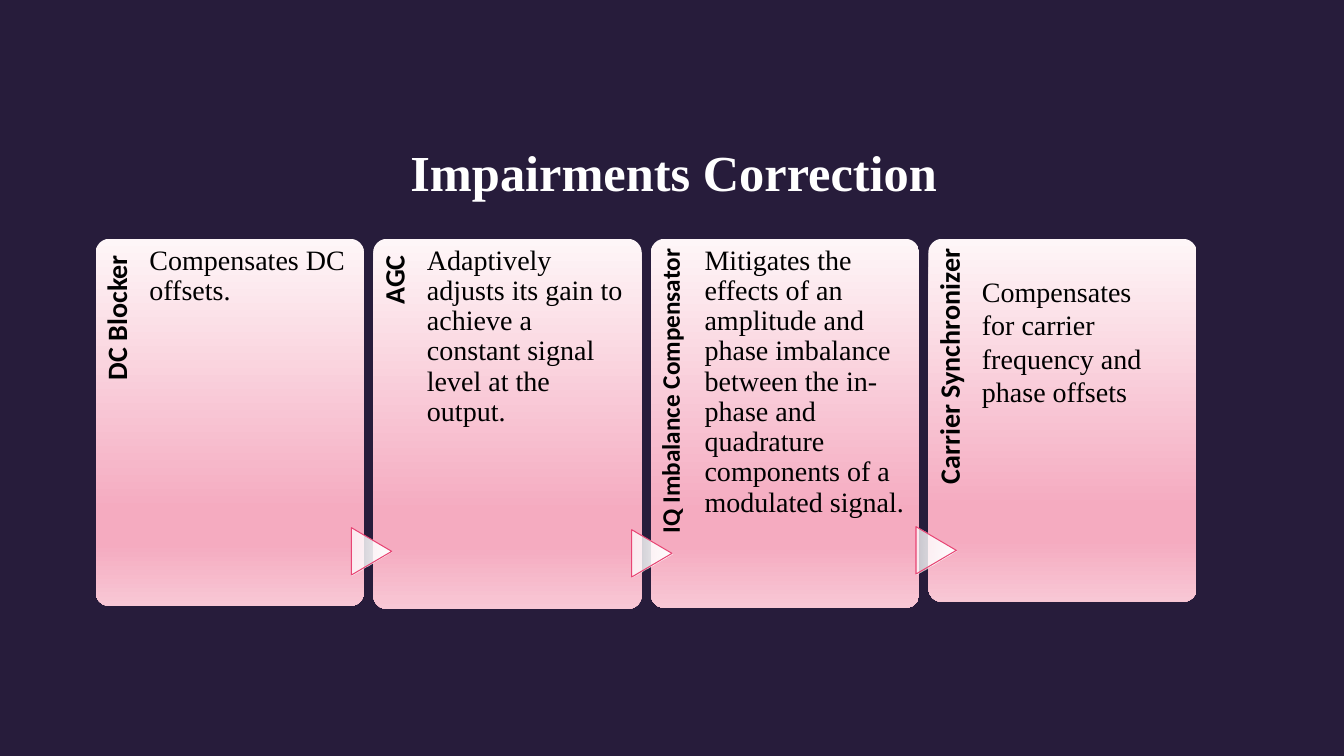
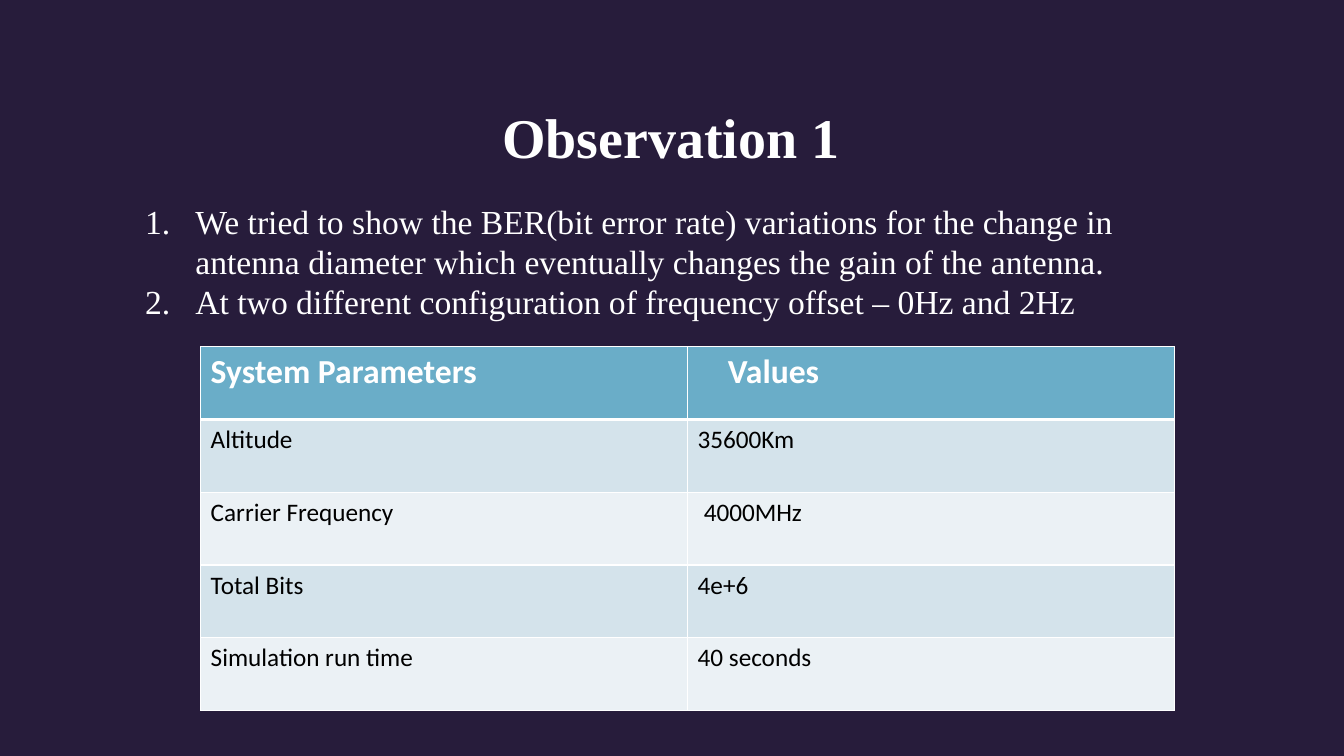
from pptx import Presentation
from pptx.dml.color import RGBColor
from pptx.enum.shapes import MSO_SHAPE as Shape
from pptx.enum.text import MSO_ANCHOR as Anchor, MSO_AUTO_SIZE as AutoSize, PP_ALIGN as Align
from pptx.oxml import parse_xml
from pptx.oxml.ns import nsdecls
from pptx.util import Inches, Pt

COLORS = {
    "background": "271C3B", "white": "FFFFFF", "black": "000000",
    "arrow_line": "E84574", "header": "6AADC8",
    "odd_row": "D4E3EB", "even_row": "EBF1F5",
}
SERIF, SANS = "Times New Roman", "Calibri"
WIDTH, HEIGHT = 13.33, 7.5
DEFAULT_INSETS = (0.1, 0.05, 0.1, 0.05)

# Gradient stops: position in percent, colour, opacity in percent
CARD_STOPS = [(0, "FEF6F8", 100), (74, "F5ABC0", 100), (83, "F5ABC0", 100), (100, "F8C7D5", 100)]
ARROW_STOPS = [(0, "FFFFFF", 100), (100, "FFFFFF", 74)]

CARDS = [
    {"label": "DC Blocker ", "size": 20, "height": 3.64, "body": "Compensates DC offsets."},
    {"label": "AGC ", "size": 20, "height": 3.67, "arrow": (3.45, 5.27),
     "body": "Adaptively adjusts its gain to achieve a constant signal level at the output."},
    {"label": "IQ Imbalance Compensator", "size": 18, "height": 3.66, "arrow": (6.23, 5.29),
     "body": "Mitigates the effects of an amplitude and phase imbalance between the in-phase "
             "and quadrature components of a modulated signal."},
    {"label": "Carrier Synchronizer", "size": 20, "height": 3.6, "arrow": (9.05, 5.26),
     "body": "Compensates for carrier frequency and phase offsets", "body_at": (9.64, 2.67, 2.01, 1.45)},
]
CARD_LEFT, CARD_TOP, CARD_WIDTH = 0.95, 2.37, 2.66
CARD_PITCH = CARD_WIDTH * 1.035
LABEL_WIDTH = CARD_WIDTH * 0.2
BODY_WIDTH = CARD_WIDTH * 0.745
ARROW_SIZE = (0.47, 0.4)

OBSERVATIONS = [
    "We tried to show the BER(bit error rate) variations for the change in antenna diameter "
    "which eventually changes the gain of the antenna.",
    "At two different configuration of frequency offset – 0Hz and 2Hz",
]
PARAMETERS = [
    ("System Parameters", "Values"),
    ("Altitude", "35600Km"),
    ("Carrier Frequency", "4000MHz"),
    ("Total Bits", "4e+6"),
    ("Simulation run time", "40 seconds"),
]
TABLE_AT = (1.99, 3.44, 9.66, 3.61)
EXTRA_INDENT = {(0, 1): 0.3, (2, 1): 0.06}


def rgb(name):
    return RGBColor.from_string(COLORS[name])


def inches(values):
    return [Inches(value) for value in values]


def write(frame, texts, size, color="black", font=SERIF, bold=False, insets=DEFAULT_INSETS, **para_format):
    frame.word_wrap = True
    frame.vertical_anchor = Anchor.TOP
    for side, inset in zip(("left", "top", "right", "bottom"), insets):
        setattr(frame, f"margin_{side}", Inches(inset))
    for index, text in enumerate(texts):
        para = frame.add_paragraph() if index else frame.paragraphs[0]
        for name, value in para_format.items():
            setattr(para, name, value)
        span = para.add_run()
        span.text = text
        for name, value in {"size": Pt(size), "name": font, "bold": bold}.items():
            setattr(span.font, name, value)
        span.font.color.rgb = rgb(color)


def add_text(slide, at, texts, size, **text_format):
    box = slide.shapes.add_textbox(*inches(at))
    write(box.text_frame, texts, size, **text_format)
    return box


def add_titled_slide(deck, title, at, size):
    slide = deck.slides.add_slide(deck.slide_layouts[5])
    box = slide.shapes.title
    box.left, box.top, box.width, box.height = inches(at)
    box.text_frame.auto_size = AutoSize.NONE
    write(box.text_frame, [title], size, color="white", bold=True, alignment=Align.LEFT)
    return slide


def add_gradient_shape(slide, kind, at, stops):
    """Add a preset shape whose fill runs from its top to its bottom."""
    shape = slide.shapes.add_shape(kind, *inches(at))
    shape.shadow.inherit = False
    shape.line.fill.background()
    stop_xml = "".join(
        f'<a:gs pos="{position * 1000}"><a:srgbClr val="{color}">'
        f'<a:alpha val="{opacity * 1000}"/></a:srgbClr></a:gs>'
        for position, color, opacity in stops)
    gradient = parse_xml(f'<a:gradFill {nsdecls("a")} rotWithShape="1"><a:gsLst>{stop_xml}</a:gsLst>'
                         '<a:lin ang="5400000" scaled="0"/></a:gradFill>')
    shape._element.spPr.find("{*}prstGeom").addnext(gradient)
    return shape


def add_card(slide, index, card):
    left, height = CARD_LEFT + index * CARD_PITCH, card["height"]
    panel = add_gradient_shape(slide, Shape.ROUNDED_RECTANGLE, (left, CARD_TOP, CARD_WIDTH, height), CARD_STOPS)
    panel.adjustments[0] = 0.05

    length = height * 0.82
    label_at = (left + (LABEL_WIDTH - length) / 2, CARD_TOP + (length - LABEL_WIDTH) / 2, length, LABEL_WIDTH)
    label = add_text(slide, label_at, [card["label"]], card["size"], font=SANS, bold=True,
                     insets=(0, 0.07, 0.1, 0), alignment=Align.RIGHT, line_spacing=0.9)
    label.rotation = 270

    if "arrow" in card:
        arrow = add_gradient_shape(slide, Shape.FLOWCHART_EXTRACT, card["arrow"] + ARROW_SIZE, ARROW_STOPS)
        arrow.rotation = 90
        arrow.line.color.rgb = rgb("arrow_line")
        arrow.line.width = Pt(0.75)

    if "body_at" in card:
        add_text(slide, card["body_at"], [card["body"]], 20)
    else:
        add_text(slide, (left + LABEL_WIDTH, CARD_TOP, BODY_WIDTH, height), [card["body"]], 20,
                 insets=(0, 0.07, 0, 0), line_spacing=0.9)


def number_paragraphs(frame):
    for para in frame.paragraphs:
        properties = para._p.get_or_add_pPr()
        properties.set("marL", str(Inches(0.5)))
        properties.set("indent", str(-Inches(0.5)))
        properties.append(parse_xml(f'<a:buAutoNum {nsdecls("a")} type="arabicPeriod"/>'))


def set_borders(cell, top, bottom):
    """Draw white borders; top and bottom are widths in points."""
    widths = {"L": 1, "R": 1, "T": top, "B": bottom}
    for position, (side, width) in enumerate(widths.items()):
        border = parse_xml(f'<a:ln{side} {nsdecls("a")} w="{Pt(width)}"><a:solidFill>'
                           f'<a:srgbClr val="{COLORS["white"]}"/></a:solidFill></a:ln{side}>')
        cell._tc.get_or_add_tcPr().insert(position, border)


def add_parameter_table(slide):
    table = slide.shapes.add_table(len(PARAMETERS), 2, *inches(TABLE_AT)).table
    for row, values in enumerate(PARAMETERS):
        header = row == 0
        fill = "header" if header else "odd_row" if row % 2 else "even_row"
        for column, value in enumerate(values):
            cell = table.cell(row, column)
            cell.fill.solid()
            cell.fill.fore_color.rgb = rgb(fill)
            write(cell.text_frame, [value], 24 if header else 18, font=SANS, bold=header,
                  color="white" if header else "black")
            cell.margin_left = Inches(0.1 + EXTRA_INDENT.get((row, column), 0))
            set_borders(cell, top=3 if row == 1 else 1, bottom=3 if header else 1)


def main():
    deck = Presentation()
    deck.slide_width, deck.slide_height = inches((WIDTH, HEIGHT))
    background = deck.slide_master.background.fill
    background.solid()
    background.fore_color.rgb = rgb("background")

    correction = add_titled_slide(deck, "Impairments Correction", (3.97, 1.35, 7.57, 0.71), 36)
    for index, card in enumerate(CARDS):
        add_card(correction, index, card)

    observation = add_titled_slide(deck, "Observation 1", (4.88, 0.97, 3.94, 0.77), 40)
    findings = add_text(observation, (1.34, 1.94, 10.83, 1.31), OBSERVATIONS, 24, color="white")
    number_paragraphs(findings.text_frame)
    add_parameter_table(observation)

    deck.save("out.pptx")


if __name__ == "__main__":
    main()
